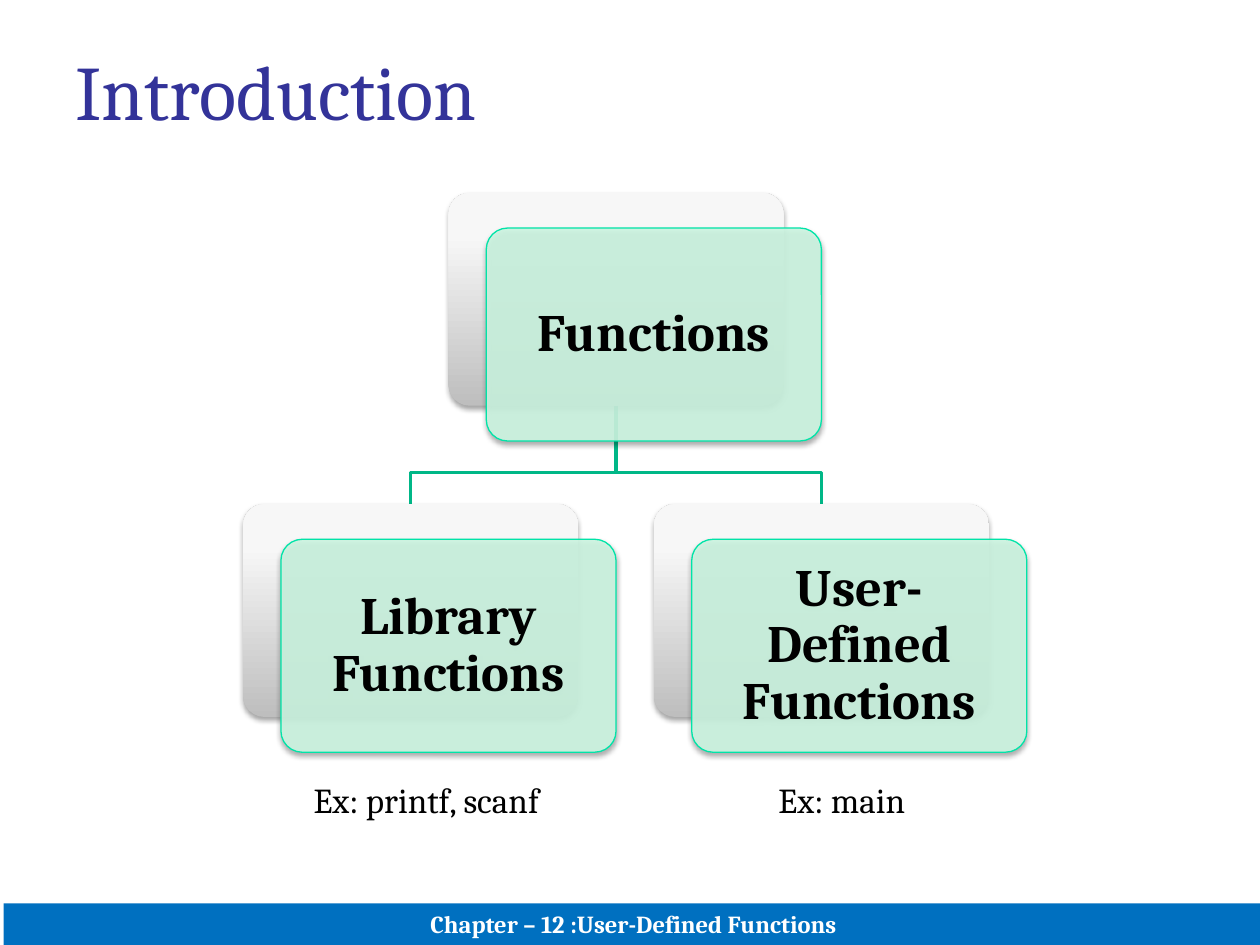
from lxml.etree import SubElement
from pptx import Presentation
from pptx.dml.color import RGBColor
from pptx.enum.shapes import MSO_SHAPE as Shape
from pptx.enum.text import MSO_ANCHOR as Anchor, PP_ALIGN as Align
from pptx.oxml.ns import qn
from pptx.util import Inches, Pt

FONT = "Cambria"
BOX_W, BOX_H = 2.66, 1.69
FRONT_DX, FRONT_DY = 0.3, 0.28
TOP_Y, CHILD_Y, BRANCH_Y = 1.53, 4, 3.75
ROOT_X, CHILD_DX = 3.56, 1.63


def color(hex_value):
    return RGBColor.from_string(hex_value)


def write(shape, text, size, hex_value="000000", bold=False, align=Align.LEFT,
          anchor=Anchor.TOP, inset=None, line_spacing=None):
    frame = shape.text_frame
    frame.word_wrap = True
    frame.vertical_anchor = anchor
    if inset is not None:
        frame.margin_left = frame.margin_right = Inches(inset)
        frame.margin_top = frame.margin_bottom = Inches(inset)
    paragraph = frame.paragraphs[0]
    paragraph.alignment = align
    paragraph.line_spacing = line_spacing
    run = paragraph.add_run()
    run.text = text
    run.font.name = FONT
    run.font.size = Pt(size)
    run.font.bold = bold
    run.font.color.rgb = color(hex_value)


def add_label(slide, text, x, y, width, height, size, **text_format):
    label = slide.shapes.add_textbox(Inches(x), Inches(y), Inches(width), Inches(height))
    write(label, text, size, **text_format)


def add_box(slide, kind, x, y, width, height):
    box = slide.shapes.add_shape(kind, Inches(x), Inches(y), Inches(width), Inches(height))
    box.shadow.inherit = False
    box.line.fill.background()
    return box


def add_shadow(shape):
    """Give the shape a soft shadow straight below it."""
    effects = shape._element.spPr.find(qn("a:effectLst"))
    shadow = SubElement(effects, qn("a:outerShdw"), blurRad=str(Pt(3.1)),
                        dist=str(Pt(1.8)), dir="5400000", rotWithShape="0")
    black = SubElement(shadow, qn("a:srgbClr"), val="000000")
    SubElement(black, qn("a:alpha"), val="35000")


def add_card(slide, x, y):
    card = add_box(slide, Shape.ROUNDED_RECTANGLE, x, y, BOX_W, BOX_H)
    card.adjustments[0] = 0.1
    add_shadow(card)
    return card


def add_node(slide, text, x, y):
    """Draw a grey back card and a translucent green front card with the text."""
    back = add_card(slide, x, y)
    back.fill.gradient()
    back.fill.gradient_angle = 90
    stops = back.fill.gradient_stops
    for stop, position, shade in zip(stops, (0, 0.8), ("BEBEBE", "F7F7F7")):
        stop.position = position
        stop.color.rgb = color(shade)

    front = add_card(slide, x + FRONT_DX, y + FRONT_DY)
    front.fill.solid()
    front.fill.fore_color.rgb = color("CCF5E1")
    tint = front._element.spPr.find(qn("a:solidFill"))[0]
    SubElement(tint, qn("a:alpha"), val="90000")
    front.line.color.rgb = color("00E4A8")
    front.line.width = Pt(0.75)
    write(front, text, 30, bold=True, align=Align.CENTER, anchor=Anchor.MIDDLE,
          inset=0.12, line_spacing=0.9)


def add_branch(slide, child_x):
    """Draw the bent line from the root's back card to a child's back card."""
    start_x, end_x = ROOT_X + BOX_W / 2, child_x + BOX_W / 2
    builder = slide.shapes.build_freeform(
        Inches(start_x), Inches(TOP_Y + BOX_H), scale=1.0)
    corners = [(start_x, BRANCH_Y), (end_x, BRANCH_Y), (end_x, CHILD_Y)]
    builder.add_line_segments([(Inches(x), Inches(y)) for x, y in corners], close=False)
    branch = builder.convert_to_shape()
    branch.shadow.inherit = False
    branch.fill.background()
    branch.line.color.rgb = color("00B787")
    branch.line.width = Pt(2)


def add_footer(slide, text):
    footer = add_box(slide, Shape.RECTANGLE, 0.03, 7.17, 10, 0.33)
    footer.fill.solid()
    footer.fill.fore_color.rgb = color("0070C0")
    write(footer, text, 14, hex_value="FFFFFF", bold=True, align=Align.CENTER,
          anchor=Anchor.BOTTOM)


def main():
    deck = Presentation()
    deck.slide_width, deck.slide_height = Inches(10), Inches(7.5)
    slide = deck.slides.add_slide(deck.slide_layouts[6])

    add_footer(slide, "Chapter – 12 :User-Defined Functions")
    add_label(slide, "Introduction", 0.5, 0.3, 9, 1.25, 44, hex_value="333399")

    children = [("Library Functions", ROOT_X - CHILD_DX),
                ("User-Defined Functions", ROOT_X + CHILD_DX)]
    for _, x in children:
        add_branch(slide, x)
    add_node(slide, "Functions", ROOT_X, TOP_Y)
    for text, x in children:
        add_node(slide, text, x, CHILD_Y)

    add_label(slide, "Ex: printf, scanf", 2.39, 6.13, 2.67, 0.44, 20)
    add_label(slide, "Ex: main", 6.08, 6.13, 1.5, 0.44, 20)
    deck.save("out.pptx")


if __name__ == "__main__":
    main()
